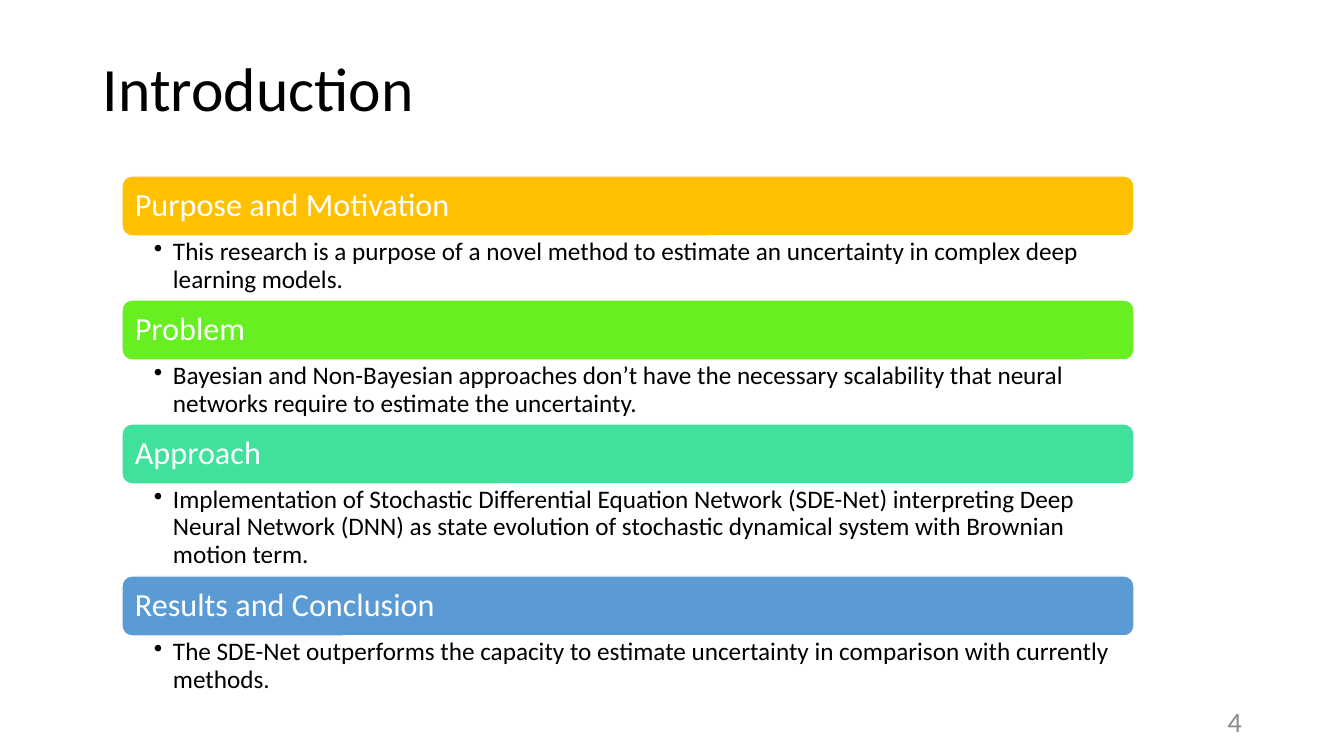
import lxml.etree
import pptx
import pptx.dml.color
import pptx.enum.shapes
import pptx.enum.text
import pptx.oxml.ns
import pptx.util

PIXEL = 914400 / 100.8
LEFT, TOP, WIDTH, BAR_HEIGHT = 122, 176, 1012, 60
ALIGN = pptx.enum.text.PP_ALIGN
ANCHOR = pptx.enum.text.MSO_ANCHOR

SECTIONS = [
    ("Purpose and Motivation", "FFC000", 64,
     "This research is a purpose of a novel method to estimate an uncertainty "
     "in complex deep learning models."),
    ("Problem", "67EF21", 64,
     "Bayesian and Non-Bayesian approaches don’t have the necessary scalability "
     "that neural networks require to estimate the uncertainty."),
    ("Approach", "3FE19B", 92,
     "Implementation of Stochastic Differential Equation Network (SDE-Net) "
     "interpreting Deep Neural Network (DNN) as state evolution of stochastic "
     "dynamical system with Brownian motion term."),
    ("Results and Conclusion", "5B9BD5", 64,
     "The SDE-Net outperforms the capacity to estimate uncertainty in comparison "
     "with currently methods."),
]


def px(length):
    return pptx.util.Emu(round(length * PIXEL))


def color(value):
    return pptx.dml.color.RGBColor.from_string(value)


def write(shape, text, size, font_color, insets=(10, 5, 10, 5),
          anchor=ANCHOR.MIDDLE, align=ALIGN.LEFT):
    frame = shape.text_frame
    frame.text = text
    frame.word_wrap = True
    frame.auto_size = pptx.enum.text.MSO_AUTO_SIZE.NONE
    frame.vertical_anchor = anchor
    (frame.margin_left, frame.margin_top,
     frame.margin_right, frame.margin_bottom) = map(px, insets)
    para = frame.paragraphs[0]
    para.alignment = align
    para.line_spacing = 0.9
    font = para.runs[0].font
    font.name = "Calibri"
    font.size = pptx.util.Pt(size)
    font.color.rgb = color(font_color)
    return para


def add_title(slide, text):
    title = slide.shapes.title
    title.left, title.top, title.width, title.height = map(px, (93, 30, 1159, 123))
    write(title, text, 44, "000000")


def add_bar(slide, top, text, fill):
    bar = slide.shapes.add_shape(
        pptx.enum.shapes.MSO_SHAPE.ROUNDED_RECTANGLE,
        px(LEFT), px(top), px(WIDTH), px(BAR_HEIGHT))
    bar.shadow.inherit = False
    bar.fill.solid()
    bar.fill.fore_color.rgb = color(fill)
    bar.line.color.rgb = color("FFFFFF")
    bar.line.width = pptx.util.Pt(1)
    write(bar, text, 23, "FFFFFF", insets=(10, 10, 10, 10))


def add_bullet(slide, top, height, text):
    box = slide.shapes.add_textbox(px(LEFT), px(top), px(WIDTH), px(height))
    para = write(box, text, 18, "000000", insets=(32, 3, 18, 3), anchor=ANCHOR.TOP)
    properties = para._p.get_or_add_pPr()
    properties.set("marL", str(px(19)))
    properties.set("indent", str(px(-19)))
    bullet = lxml.etree.SubElement(properties, pptx.oxml.ns.qn("a:buChar"))
    bullet.set("char", "•")


def add_page_number(slide, text):
    box = slide.shapes.add_textbox(px(950), px(701), px(302), px(40))
    para = write(box, text, 20, "8C8C8C", align=ALIGN.RIGHT)
    para.line_spacing = 1.0


def main():
    deck = pptx.Presentation()
    deck.slide_width, deck.slide_height = px(1344), px(756)
    slide = deck.slides.add_slide(deck.slide_layouts.get_by_name("Title Only"))
    add_title(slide, "Introduction")
    add_page_number(slide, "4")
    top = TOP
    for heading, fill, height, text in SECTIONS:
        add_bar(slide, top, heading, fill)
        add_bullet(slide, top + BAR_HEIGHT, height, text)
        top += BAR_HEIGHT + height
    deck.save("out.pptx")


main()
